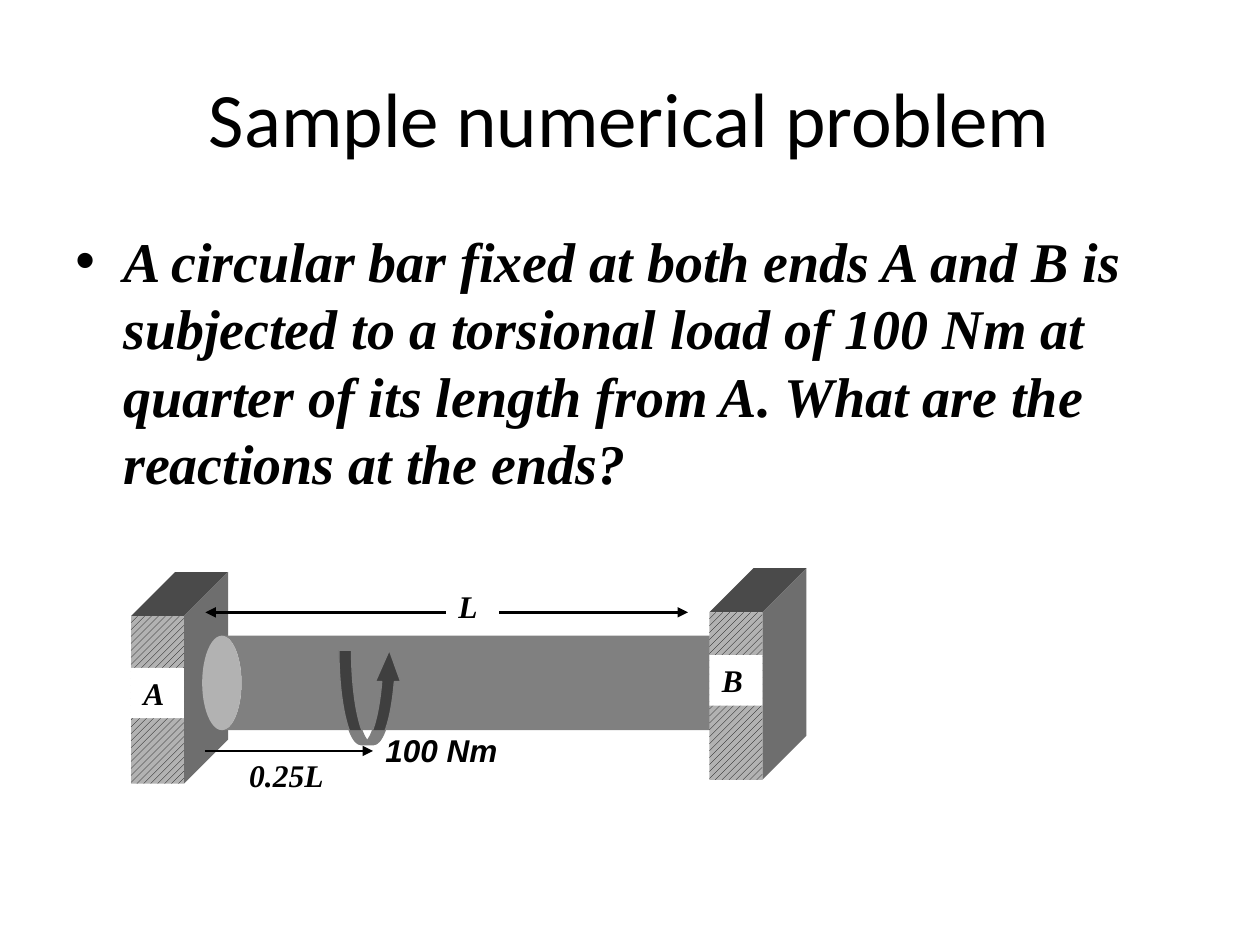
from pptx import Presentation
from pptx.dml.color import RGBColor
from pptx.enum.dml import MSO_PATTERN
from pptx.enum.shapes import MSO_CONNECTOR, MSO_SHAPE
from pptx.enum.text import MSO_ANCHOR, PP_ALIGN
from pptx.oxml.ns import qn
from pptx.util import Inches, Pt
from lxml import etree

RECT, CAN = MSO_SHAPE.RECTANGLE, MSO_SHAPE.CAN
CURVE = MSO_SHAPE.CURVED_UP_ARROW
HATCH = MSO_PATTERN.WIDE_UPWARD_DIAGONAL
STRAIGHT = MSO_CONNECTOR.STRAIGHT
MIDDLE, TOP = MSO_ANCHOR.MIDDLE, MSO_ANCHOR.TOP
CENTER, LEFT = PP_ALIGN.CENTER, PP_ALIGN.LEFT
SERIF, SANS, HEAD = "Times New Roman", "Arial", "Calibri"
COLORS = {"ink": "000000", "paper": "FFFFFF", "bar": "808080",
          "front": "B2B2B2", "top": "4A4A4A", "side": "6E6E6E"}


class Board:
    def __init__(self, slide):
        self.slide = slide
        self.shapes = slide.shapes

    def color(self, name):
        return RGBColor.from_string(COLORS[name])

    def place(self, box):
        return [Inches(n) for n in box]

    def paint(self, shape, fill):
        shape.shadow.inherit = False
        shape.fill.solid()
        shape.fill.fore_color.rgb = self.color(fill)
        shape.line.fill.background()

    def label(self, shape, text, size, face, strong=True, align=LEFT, anchor=TOP, wrap=True):
        frame = shape.text_frame
        frame.text = text
        frame.word_wrap = wrap
        frame.vertical_anchor = anchor
        para = frame.paragraphs[0]
        para.alignment = align
        for run in para.runs:
            font = run.font
            font.name, font.size = face, Pt(size)
            font.bold = font.italic = strong
            font.color.rgb = self.color("ink")
        return para

    def title(self, text, box):
        shape = self.shapes.title
        shape.left, shape.top, shape.width, shape.height = self.place(box)
        self.label(shape, text, 44, HEAD, False, CENTER, MIDDLE)

    def bullet(self, text, box):
        shape = self.shapes.add_textbox(*self.place(box))
        para = self.label(shape, text, 32, SERIF)
        para.line_spacing = Pt(38.4)
        props = para._p.get_or_add_pPr()
        props.set("marL", str(Inches(0.38)))
        props.set("indent", str(Inches(-0.38)))
        etree.SubElement(props, qn("a:buFont")).set("typeface", SANS)
        etree.SubElement(props, qn("a:buChar")).set("char", "•")

    def shape(self, kind, box, fill, turn=0, adjust=()):
        shape = self.shapes.add_shape(kind, *self.place(box))
        self.paint(shape, fill)
        shape.rotation = turn
        for i, value in enumerate(adjust):
            shape.adjustments[i] = value
        return shape

    def face(self, points, fill):
        build = self.shapes.build_freeform(*self.place(points[0]))
        build.add_line_segments([self.place(p) for p in points[1:]])
        self.paint(build.convert_to_shape(), fill)

    def wall(self, x, y, wide=0.42, high=1.33, deep=0.35):
        right, base = x + wide, y + high
        back, up = right + deep, y - deep
        self.face([(x, y), (x + deep, up), (back, up), (right, y)], "top")
        self.face([(right, y), (back, up), (back, base - deep), (right, base)], "side")
        front = self.shape(RECT, (x, y, wide, high), "front")
        front.fill.patterned()
        front.fill.pattern = HATCH
        front.fill.fore_color.rgb = self.color("ink")
        front.fill.back_color.rgb = self.color("front")

    def tag(self, text, x, y):
        self.label(self.shape(RECT, (x, y, 0.42, 0.4), "paper"), text, 18, SERIF)

    def note(self, text, box, face, wrap=True):
        self.label(self.shapes.add_textbox(*self.place(box)), text, 18, face, wrap=wrap)

    def arrow(self, start, end, y, width, tips):
        link = self.shapes.add_connector(STRAIGHT, *self.place((start, y, end, y)))
        link.line.color.rgb = self.color("ink")
        link.line.width = Pt(width)
        props = link._element.spPr
        for tip in tips:
            etree.SubElement(props.find(qn("a:ln")), qn("a:" + tip)).set("type", "triangle")
        etree.SubElement(props, qn("a:effectLst"))

    def twist(self, box):
        shape = self.shape(CURVE, box, "ink", adjust=(0.2, 0.4, 0.5))
        tint = shape._element.spPr.find(qn("a:solidFill"))[0]
        etree.SubElement(tint, qn("a:alpha")).set("val", "50000")
        shape.line.color.rgb = self.color("bar")
        shape.line.width = Pt(0.75)


def main():
    deck = Presentation()
    deck.slide_width, deck.slide_height = Inches(10), Inches(7.5)
    board = Board(deck.slides.add_slide(deck.slide_layouts[5]))
    board.title("Sample numerical problem", (0.5, 0.3, 9, 1.25))
    board.bullet("A circular bar fixed at both ends A and B is subjected to a torsional "
                 "load of 100 Nm at quarter of its length from A. What are the reactions "
                 "at the ends?", (0.5, 1.75, 9, 4.95))
    board.wall(1.04, 4.89)
    board.shape(CAN, (3.45, 3.2, 0.75, 4.44), "bar", -90, (0.416,))
    board.tag("A", 1.04, 5.3)
    board.wall(5.63, 4.86)
    board.tag("B", 5.63, 5.2)
    board.arrow(1.63, 5.46, 4.86, 1.5, ("headEnd", "tailEnd"))
    board.tag("L", 3.54, 4.61)
    board.twist((2.69, 5.16, 0.5, 0.75))
    board.arrow(1.63, 2.96, 5.96, 0.75, ("tailEnd",))
    board.note("0.25L", (1.88, 5.95, 1.17, 0.4), SERIF)
    board.note("100 Nm", (2.96, 5.75, 1.09, 0.4), SANS, False)
    deck.save("out.pptx")


if __name__ == "__main__":
    main()
